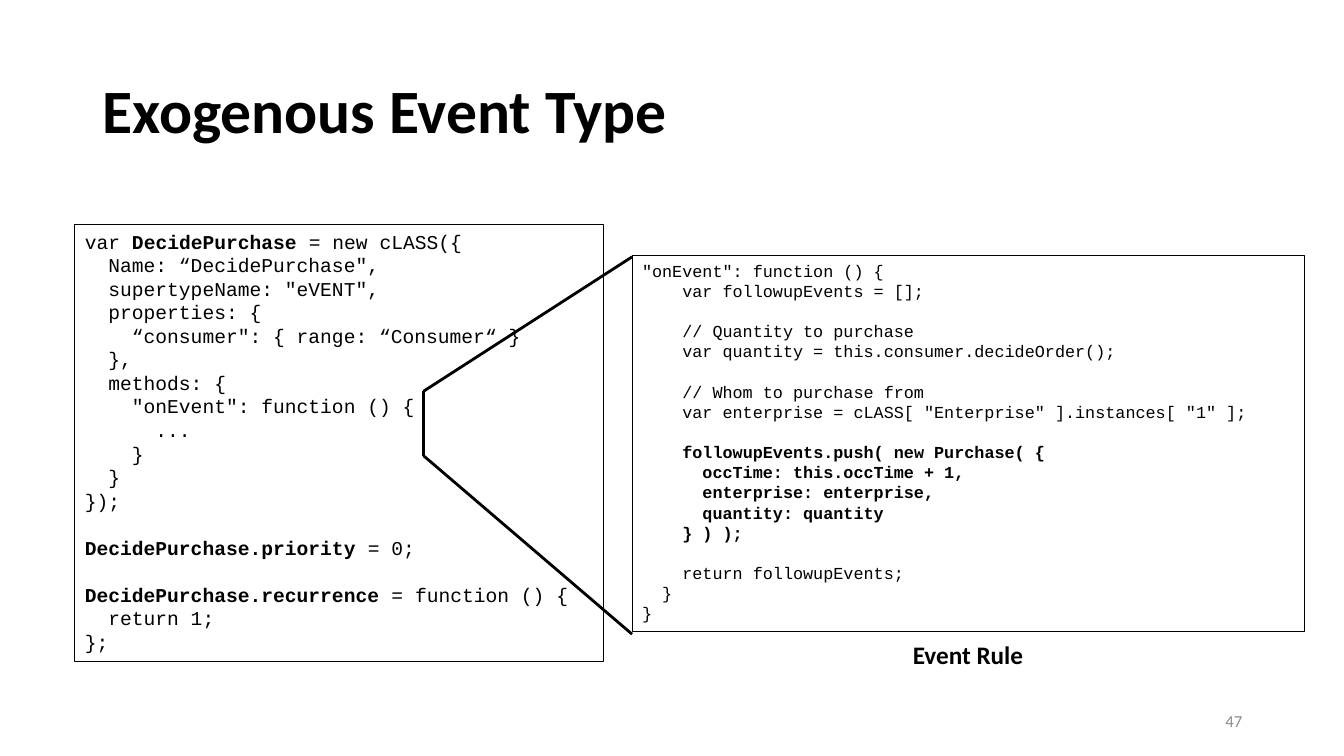
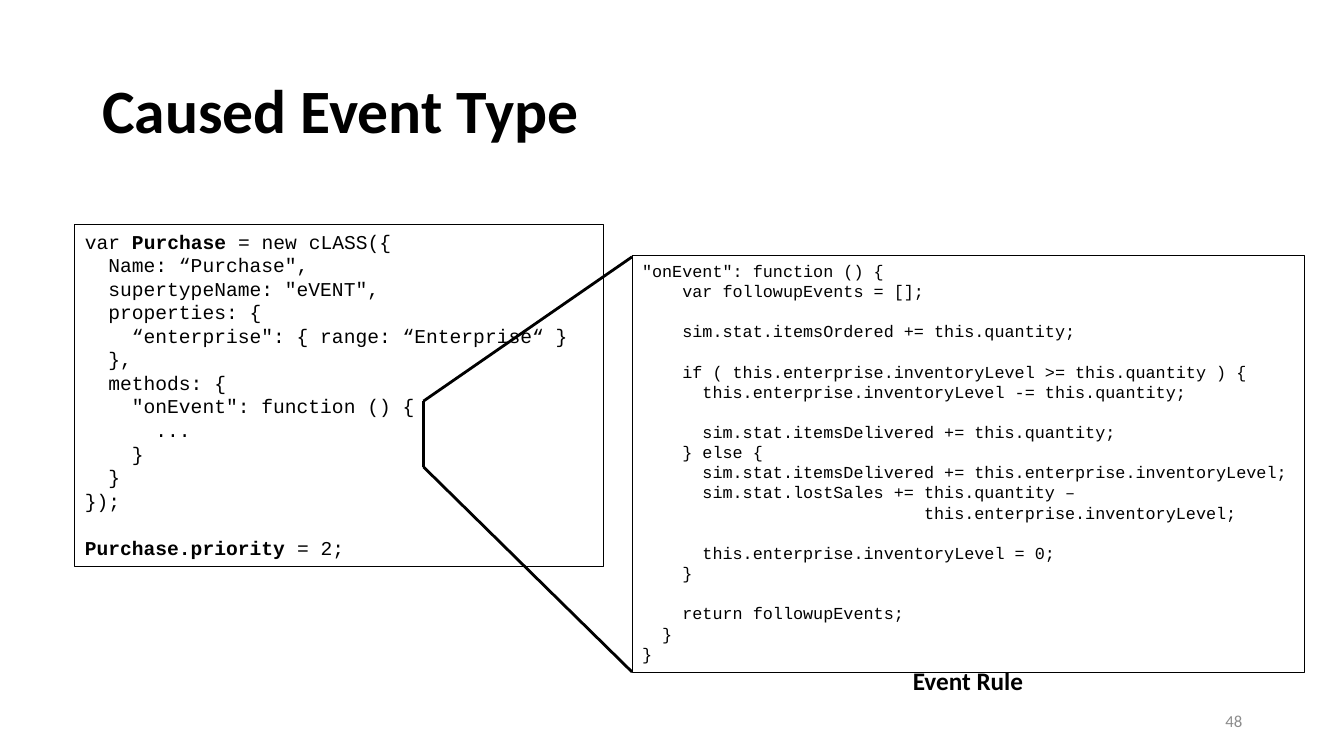
import lxml.etree
import pptx
import pptx.dml.color
import pptx.enum.shapes
import pptx.enum.text
import pptx.oxml.ns
import pptx.util

Pt = pptx.util.Pt
qn = pptx.oxml.ns.qn
ANCHOR = pptx.enum.text.MSO_ANCHOR
ALIGN = pptx.enum.text.PP_ALIGN
AUTO_SIZE = pptx.enum.text.MSO_AUTO_SIZE

BLACK = pptx.dml.color.RGBColor(0x00, 0x00, 0x00)
GREY = pptx.dml.color.RGBColor(0x8C, 0x8C, 0x8C)
TEXT_FONT = "Calibri"
CODE_FONT = "Courier New"

TYPE_LEFT, TYPE_TOP, TYPE_WIDTH = 53.5, 160.5, 377.5
RULE_LEFT, RULE_TOP, RULE_WIDTH = 451.5, 182.5, 480
BRACKET_LEFT = 302.5

# Code between double asterisks is bold.
DECIDE_TYPE = '''var **DecidePurchase **= new cLASS({
  Name: “DecidePurchase",
  supertypeName: "eVENT",
  properties: {
    “consumer": { range: “Consumer“ }
  },
  methods: {
    "onEvent": function () {
      ...
    }
  }
});

**DecidePurchase.priority **= 0;

**DecidePurchase.recurrence **= function () {
  return 1;
};'''

DECIDE_RULE = '''"onEvent": function () {
    var followupEvents = [];

    // Quantity to purchase
    var quantity = this.consumer.decideOrder();

    // Whom to purchase from
    var enterprise = cLASS[ "Enterprise" ].instances[ "1" ];

    **followupEvents.push( new Purchase( {**
**      occTime: this.occTime + 1,**
**      enterprise: enterprise,**
**      quantity: quantity**
**    } ) );**

    return followupEvents;
  }
}'''

PURCHASE_TYPE = '''var **Purchase **= new cLASS({
  Name: “Purchase",
  supertypeName: "eVENT",
  properties: {
    “enterprise": { range: “Enterprise“ }
  },
  methods: {
    "onEvent": function () {
      ...
    }
  }
});

**Purchase.priority **= 2;'''

PURCHASE_RULE = '''"onEvent": function () {
    var followupEvents = [];

    sim.stat.itemsOrdered += this.quantity;

    if ( this.enterprise.inventoryLevel >= this.quantity ) {
      this.enterprise.inventoryLevel -= this.quantity;

      sim.stat.itemsDelivered += this.quantity;
    } else {
      sim.stat.itemsDelivered += this.enterprise.inventoryLevel;
      sim.stat.lostSales += this.quantity –
                            this.enterprise.inventoryLevel;

      this.enterprise.inventoryLevel = 0;
    }

    return followupEvents;
  }
}'''

# Title, number, event type code, event rule code,
# bracket top and bottom, foot of the lower line, top of the label
SLIDES = [
    ("Exogenous Event Type", 47, DECIDE_TYPE, DECIDE_RULE, 279.5, 325.5, 453, 453),
    ("Caused Event Type", 48, PURCHASE_TYPE, PURCHASE_RULE, 286.5, 333.5, 480, 471.5),
]


def add_label(page, text, left, top, width, height, size, color=BLACK, bold=False):
    box = page.shapes.add_textbox(Pt(left), Pt(top), Pt(width), Pt(height))
    box.text_frame.word_wrap = True
    box.text_frame.vertical_anchor = ANCHOR.MIDDLE
    para = box.text_frame.paragraphs[0]
    para.text = text
    para.font.name = TEXT_FONT
    para.font.size = Pt(size)
    para.font.bold = bold
    para.font.color.rgb = color
    return box


def add_code(page, code, left, top, width, size):
    """Add a framed listing whose height follows from its number of lines."""
    lines = code.split("\n")
    height = round(len(lines) * size * 1.21 + 7.2, 1)
    box = page.shapes.add_textbox(Pt(left), Pt(top), Pt(width), Pt(height))
    box.line.color.rgb = BLACK
    box.line.width = Pt(0.75)
    frame = box.text_frame
    frame.word_wrap = True
    frame.auto_size = AUTO_SIZE.SHAPE_TO_FIT_TEXT
    for index, line in enumerate(lines):
        para = frame.add_paragraph() if index else frame.paragraphs[0]
        para.font.name = CODE_FONT
        para.font.size = Pt(size)
        para.font.color.rgb = BLACK
        for part, text in enumerate(line.split("**")):
            if text:
                span = para.add_run()
                span.text = text
                if part % 2:
                    span.font.bold = True
        if not line:
            # An empty line takes its height from the paragraph end mark.
            end = lxml.etree.SubElement(para._p, qn("a:endParaRPr"), sz=str(size * 100))
            lxml.etree.SubElement(end, qn("a:latin"), typeface=CODE_FONT)


deck = pptx.Presentation()
deck.slide_width, deck.slide_height = Pt(960), Pt(540)

for title, number, type_code, rule_code, upper, lower, foot, label_top in SLIDES:
    page = deck.slides.add_slide(deck.slide_layouts[6])

    heading = add_label(page, title, 66, 29, 828, 104, 44, bold=True)
    heading.text_frame.paragraphs[0].line_spacing = 0.9

    add_code(page, type_code, TYPE_LEFT, TYPE_TOP, TYPE_WIDTH, 14)

    page_number = add_label(page, str(number), 678.5, 500.5, 216, 29, 12, GREY)
    page_number.text_frame.paragraphs[0].alignment = ALIGN.RIGHT

    add_code(page, rule_code, RULE_LEFT, RULE_TOP, RULE_WIDTH, 12)

    for start_y, end_x, end_y in [
        (upper, RULE_LEFT, RULE_TOP + 1),
        (lower, RULE_LEFT, foot),
        (upper, BRACKET_LEFT, lower),
    ]:
        line = page.shapes.add_connector(
            pptx.enum.shapes.MSO_CONNECTOR.STRAIGHT,
            Pt(BRACKET_LEFT), Pt(start_y), Pt(end_x), Pt(end_y))
        line.line.color.rgb = BLACK
        line.line.width = Pt(2)
        lxml.etree.SubElement(line._element.spPr, qn("a:effectLst"))

    label = add_label(page, "Event Rule", 645, label_top, 93.5, 29, 18, bold=True)
    label.text_frame.word_wrap = False
    label.text_frame.auto_size = AUTO_SIZE.SHAPE_TO_FIT_TEXT
    label.text_frame.vertical_anchor = ANCHOR.TOP

deck.save("out.pptx")
